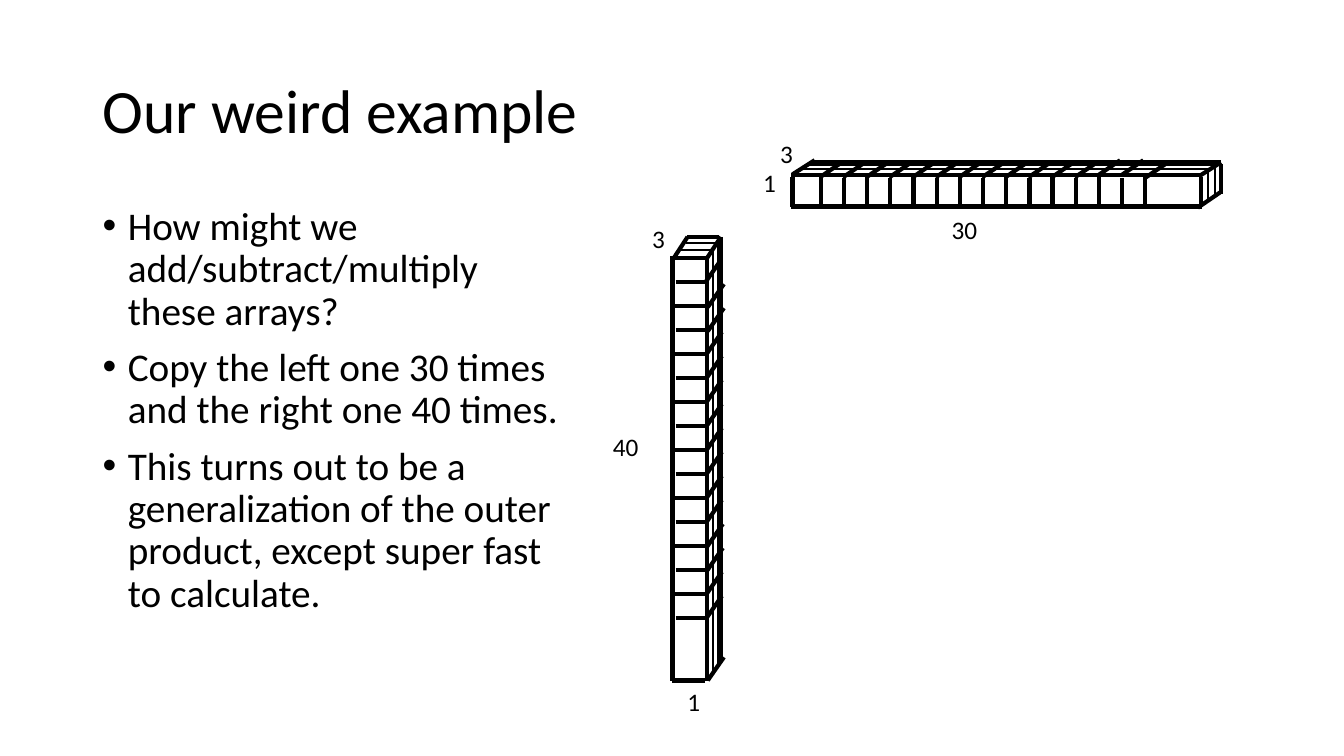
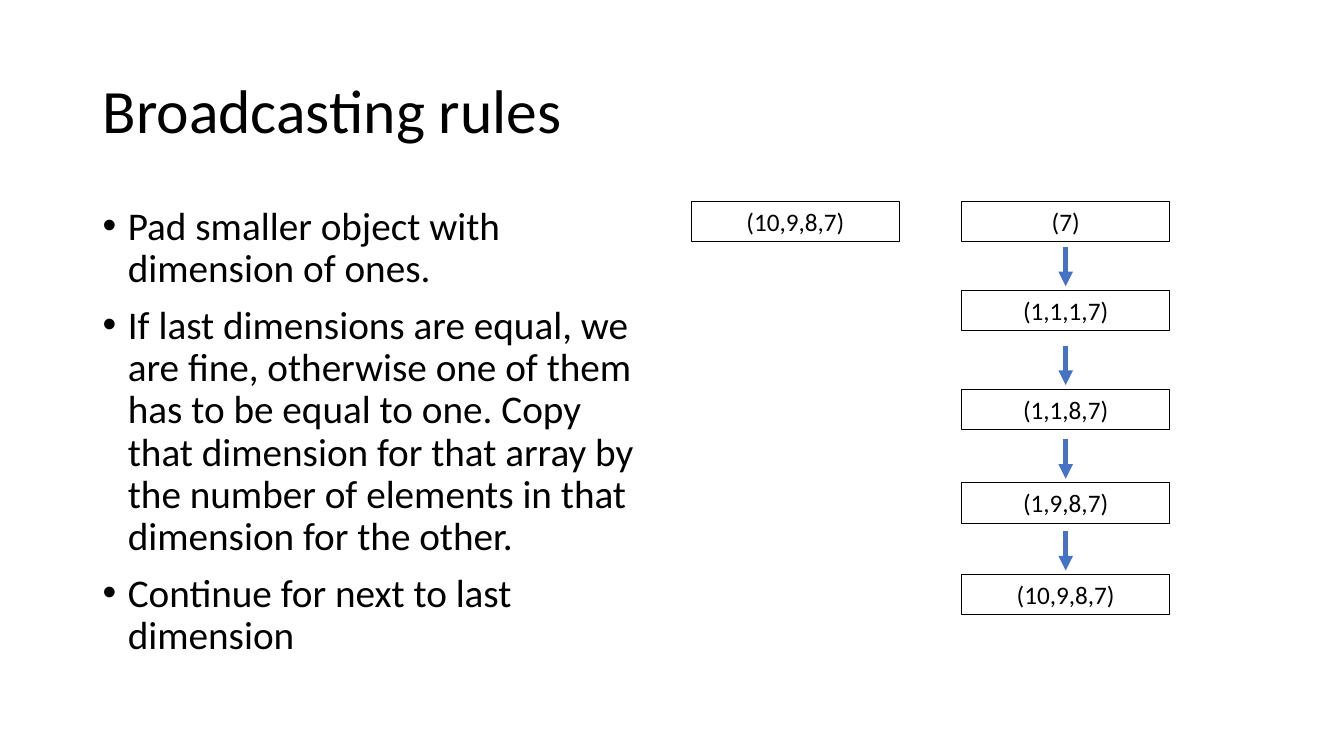
"""Build two slides on array broadcasting."""
from lxml.etree import SubElement
from pptx import Presentation
from pptx.dml.color import RGBColor
from pptx.enum.shapes import MSO_CONNECTOR, MSO_SHAPE
from pptx.enum.text import MSO_ANCHOR, MSO_AUTO_SIZE, PP_ALIGN
from pptx.oxml.ns import qn
from pptx.util import Inches, Pt

BLACK = "000000"
BLUE = "4472C4"
FONT = "Calibri"


def color(hex_code):
    return RGBColor.from_string(hex_code)


def write(frame, *texts, size=18, align=PP_ALIGN.LEFT, anchor=MSO_ANCHOR.TOP,
          spacing=None, before=None, bullet=None, grow=False):
    frame.word_wrap = True
    frame.vertical_anchor = anchor
    frame.auto_size = MSO_AUTO_SIZE.SHAPE_TO_FIT_TEXT if grow else MSO_AUTO_SIZE.NONE
    for index, text in enumerate(texts):
        paragraph = frame.add_paragraph() if index else frame.paragraphs[0]
        paragraph.alignment = align
        if spacing:
            paragraph.line_spacing = spacing
        if before:
            paragraph.space_before = Pt(before)
        if bullet:
            properties = paragraph._p.get_or_add_pPr()
            properties.set("marL", str(Inches(0.25)))
            properties.set("indent", str(Inches(-0.25)))
            SubElement(properties, qn("a:buFont"), typeface="Arial")
            SubElement(properties, qn("a:buChar"), char=bullet)
        run = paragraph.add_run()
        run.text = text
        run.font.name = FONT
        run.font.size = Pt(size)
        run.font.color.rgb = color(BLACK)


class Deck:
    def __init__(self):
        self.presentation = Presentation()
        self.presentation.slide_width = Inches(13.33)
        self.presentation.slide_height = Inches(7.5)
        self.shapes = None

    def new_slide(self, title, points, points_width):
        slide = self.presentation.slides.add_slide(self.presentation.slide_layouts[6])
        self.shapes = slide.shapes
        self.text(0.92, 0.4, 11.5, 1.45, title, size=44,
                  anchor=MSO_ANCHOR.MIDDLE, spacing=0.9)
        self.text(0.92, 2, points_width, 4.76, *points, size=28,
                  spacing=0.9, before=10, bullet="•")

    def text(self, left, top, width, height, *texts, **style):
        box = self.shapes.add_textbox(Inches(left), Inches(top), Inches(width), Inches(height))
        write(box.text_frame, *texts, **style)

    def label(self, left, top, text):
        self.text(left, top, 0.46, 0.4, text, grow=True)

    def box(self, left, top, text):
        box = self.shapes.add_shape(MSO_SHAPE.RECTANGLE, Inches(left), Inches(top),
                                    Inches(2.06), Inches(0.4))
        box.shadow.inherit = False
        box.fill.background()
        box.line.color.rgb = color(BLACK)
        box.line.width = Pt(0.75)
        write(box.text_frame, text, align=PP_ALIGN.CENTER, grow=True)

    def line(self, x1, y1, x2, y2, width=3, ink=BLACK, arrow=False, group=None):
        shapes = group.shapes if group else self.shapes
        line = shapes.add_connector(MSO_CONNECTOR.STRAIGHT, Inches(x1), Inches(y1),
                                    Inches(x2), Inches(y2))
        line.line.color.rgb = color(ink)
        line.line.width = Pt(width)
        if arrow:
            SubElement(line.line._get_or_add_ln(), qn("a:tailEnd"), type="triangle")
        SubElement(line._element.spPr, qn("a:effectLst"))

    def bar(self, edges, layers):
        group = self.shapes.add_group_shape()
        for edge in edges:
            self.line(*edge, group=group)
        for layer in layers:
            self.line(*layer, width=1.25, group=group)


def column_edges():
    outline = [
        (6.67, 2.54, 6.67, 6.76), (7.01, 2.54, 7.01, 6.76), (6.99, 6.75, 6.67, 6.75),
        (6.82, 2.35, 6.67, 2.58), (7.15, 2.35, 7, 2.58), (7.13, 2.35, 6.81, 2.35),
        (7.15, 2.35, 7.15, 6.56), (7.18, 6.52, 7.02, 6.75),
    ]
    pitch = 0.238
    fronts = [(6.67 + 0.03 * (row % 2), 2.56 + pitch * row,
               6.99 + 0.02 * (row % 2), 2.56 + pitch * row) for row in range(16)]
    side_lefts = [6.99] + [7.02] * 2 + [7] * 8 + [7.01] * 2 + [7] * 2
    sides = [(left + 0.16, 2.58 + pitch * row, left, 2.81 + pitch * row)
             for row, left in enumerate(side_lefts)]
    return outline + fronts + sides


def beam_edges():
    outline = [
        (11.92, 2.05, 7.85, 2.05), (11.92, 1.74, 7.85, 1.74), (11.91, 1.76, 11.91, 2.05),
        (7.86, 1.76, 7.86, 2.05), (12.1, 1.91, 11.88, 2.06), (12.11, 1.61, 11.89, 1.75),
        (12.11, 1.63, 12.11, 1.92), (12.11, 1.61, 8.04, 1.61), (8.08, 1.59, 7.86, 1.73),
    ]
    pitch = 0.23
    fronts = [(8.14 + pitch * cell, 1.75 + 0.02 * (cell % 2),
               8.14 + pitch * cell, 2.04 + 0.02 * (cell % 2)) for cell in range(15)]
    top_backs = [1.61] * 12 + [1.59] * 2 + [1.62]
    tops = [(8.35 + pitch * cell, back, 8.13 + pitch * cell, back + 0.15)
            for cell, back in enumerate(top_backs)]
    return outline + fronts + tops


def build_example(deck):
    deck.new_slide("Our weird example", [
        "How might we add/subtract/multiply these arrays?",
        "Copy the left one 30 times and the right one 40 times.",
        "This turns out to be a generalization of the outer product, "
        "except super fast to calculate.",
    ], 4.87)
    deck.bar(column_edges(), [
        (7.05, 2.48, 6.73, 2.48), (7.11, 2.41, 6.8, 2.41),
        (7.07, 2.47, 7.07, 6.68), (7.12, 2.41, 7.12, 6.63),
    ])
    deck.bar(beam_edges(), [
        (11.98, 1.71, 11.98, 2), (12.05, 1.65, 12.05, 1.94),
        (11.99, 1.68, 7.93, 1.68), (12.05, 1.64, 7.98, 1.64),
    ])
    for left, top, size in [(5.98, 4.23, "40"), (6.72, 6.76, "1"), (6.37, 2.17, "3"),
                            (7.64, 1.32, "3"), (9.34, 2.08, "30"), (7.47, 1.61, "1")]:
        deck.label(left, top, size)


def build_rules(deck):
    deck.new_slide("Broadcasting rules", [
        "Pad smaller object with dimension of ones.",
        "If last dimensions are equal, we are fine, otherwise one of them has to be "
        "equal to one. Copy that dimension for that array by the number of elements "
        "in that dimension for the other.",
        "Continue for next to last dimension",
    ], 5.56)
    deck.box(6.86, 2, "(10,9,8,7)")
    deck.box(9.54, 2, "(7)")
    for top, dimensions in [(2.88, "(1,1,1,7)"), (3.86, "(1,1,8,7)"),
                            (4.79, "(1,9,8,7)"), (5.7, "(10,9,8,7)")]:
        deck.box(9.54, top, dimensions)
        deck.line(10.57, top - 0.43, 10.57, top - 0.04, width=3.5, ink=BLUE, arrow=True)


def main():
    deck = Deck()
    build_example(deck)
    build_rules(deck)
    deck.presentation.save("out.pptx")


if __name__ == "__main__":
    main()
